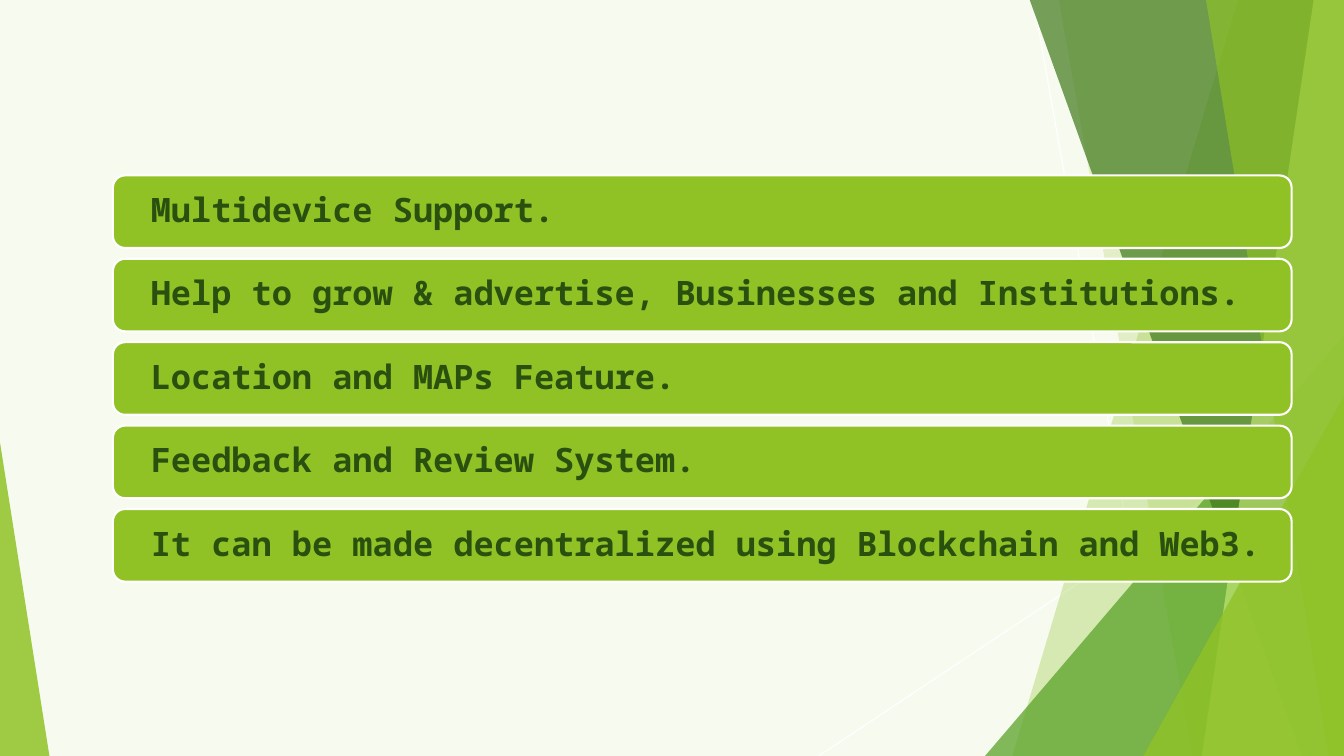
import pptx
import pptx.dml.color
import pptx.enum.shapes
import pptx.enum.text
import pptx.oxml.ns
import pptx.util
from lxml import etree

Inches = pptx.util.Inches
Shape = pptx.enum.shapes.MSO_SHAPE

WIDTH, HEIGHT = 13.33, 7.5
COLORS = {
    "background": "F7FBEF",
    "lime": "90C226",
    "pale lime": "C0E474",
    "green": "54A021",
    "forest": "3F7819",
    "text": "2A5010",
    "white": "FFFFFF",
}
FEATURES = [
    "Multidevice Support.",
    "Help to grow & advertise, Businesses and Institutions.",
    "Location and MAPs Feature.",
    "Feedback and Review System.",
    "It can be made decentralized using Blockchain and Web3.",
]
BAR_LEFT, BAR_WIDTH, BAR_HEIGHT = 1.12, 11.69, 0.72
FIRST_BAR_TOP, LAST_BAR_TOP = 1.74, 5.05


def color(name):
    return pptx.dml.color.RGBColor.from_string(COLORS[name])


def write_text(shape, text, size=24, font="Noto Sans Mono", fill="text", bold=True, indent=0.34):
    frame = shape.text_frame
    frame.word_wrap = True
    frame.vertical_anchor = pptx.enum.text.MSO_ANCHOR.MIDDLE
    frame.margin_left = Inches(indent)
    frame.margin_right = frame.margin_top = frame.margin_bottom = Inches(0.1)
    para = frame.paragraphs[0]
    para.alignment = pptx.enum.text.PP_ALIGN.LEFT
    para.line_spacing = 0.9
    span = para.add_run()
    span.text = text
    span.font.size = pptx.util.Pt(size)
    span.font.name = font
    span.font.bold = bold
    span.font.color.rgb = color(fill)


class SlideBuilder:
    def __init__(self, deck):
        self.page = deck.slides.add_slide(deck.slide_layouts[6])
        self.shapes = self.page.shapes
        background = self.page.background.fill
        background.solid()
        background.fore_color.rgb = color("background")

    def paint(self, shape, fill, opacity=100):
        """Give a shape a flat fill of the given opacity in percent, without outline or shadow."""
        shape.shadow.inherit = False
        shape.line.fill.background()
        shape.fill.solid()
        shape.fill.fore_color.rgb = color(fill)
        if opacity < 100:
            tint = shape.fill._xPr.find(".//" + pptx.oxml.ns.qn("a:srgbClr"))
            etree.SubElement(tint, pptx.oxml.ns.qn("a:alpha"), val=str(opacity * 1000))

    def hairline(self, start, end):
        line = self.shapes.add_connector(
            pptx.enum.shapes.MSO_CONNECTOR.STRAIGHT, *map(Inches, (*start, *end)))
        line.line.color.rgb = color("white")
        line.line.width = pptx.util.Pt(0.75)
        etree.SubElement(line._element.spPr, pptx.oxml.ns.qn("a:effectLst"))

    def band(self, top_x, bottom_x, fill, opacity):
        """Fill the area from a slanted left edge to the right side of the slide."""
        top = -0.01
        corners = [(WIDTH, top), (WIDTH, HEIGHT), (bottom_x, HEIGHT)]
        builder = self.shapes.build_freeform(Inches(top_x), Inches(top))
        builder.add_line_segments([(Inches(x), Inches(y)) for x, y in corners], close=True)
        self.paint(builder.convert_to_shape(), fill, opacity)

    def triangle(self, left, top, width, apex, fill, opacity):
        """Stand a triangle on the slide's lower edge, apex 0 at the left and 1 at the right."""
        box = map(Inches, (left, top, width, HEIGHT - top))
        shape = self.shapes.add_shape(Shape.ISOSCELES_TRIANGLE, *box)
        shape.adjustments[0] = apex
        self.paint(shape, fill, opacity)

    def bar(self, top, text):
        box = map(Inches, (BAR_LEFT, top, BAR_WIDTH, BAR_HEIGHT))
        shape = self.shapes.add_shape(Shape.ROUNDED_RECTANGLE, *box)
        self.paint(shape, "lime")
        shape.line.color.rgb = color("white")
        shape.line.width = pptx.util.Pt(1.5)
        write_text(shape, text)


def main():
    deck = pptx.Presentation()
    deck.slide_width, deck.slide_height = Inches(WIDTH), Inches(HEIGHT)
    slide = SlideBuilder(deck)

    slide.hairline((10.25, 0), (11.58, HEIGHT))
    slide.hairline((WIDTH, 4.03), (8.12, HEIGHT))
    slide.band(12.28, 10.04, "lime", 30)
    slide.band(10.5, 11.83, "lime", 20)
    slide.triangle(9.77, 3.33, 3.56, 1, "green", 72)
    slide.band(10.21, 12.91, "forest", 70)
    slide.band(13.03, 11.92, "pale lime", 70)
    slide.band(11.96, 13.18, "lime", 65)
    slide.triangle(11.34, 3.93, 1.99, 1, "lime", 80)
    slide.triangle(0, 4.39, 0.49, 0, "lime", 85)

    pitch = (LAST_BAR_TOP - FIRST_BAR_TOP) / (len(FEATURES) - 1)
    for index, feature in enumerate(FEATURES):
        slide.bar(FIRST_BAR_TOP + index * pitch, feature)

    deck.save("out.pptx")


if __name__ == "__main__":
    main()
